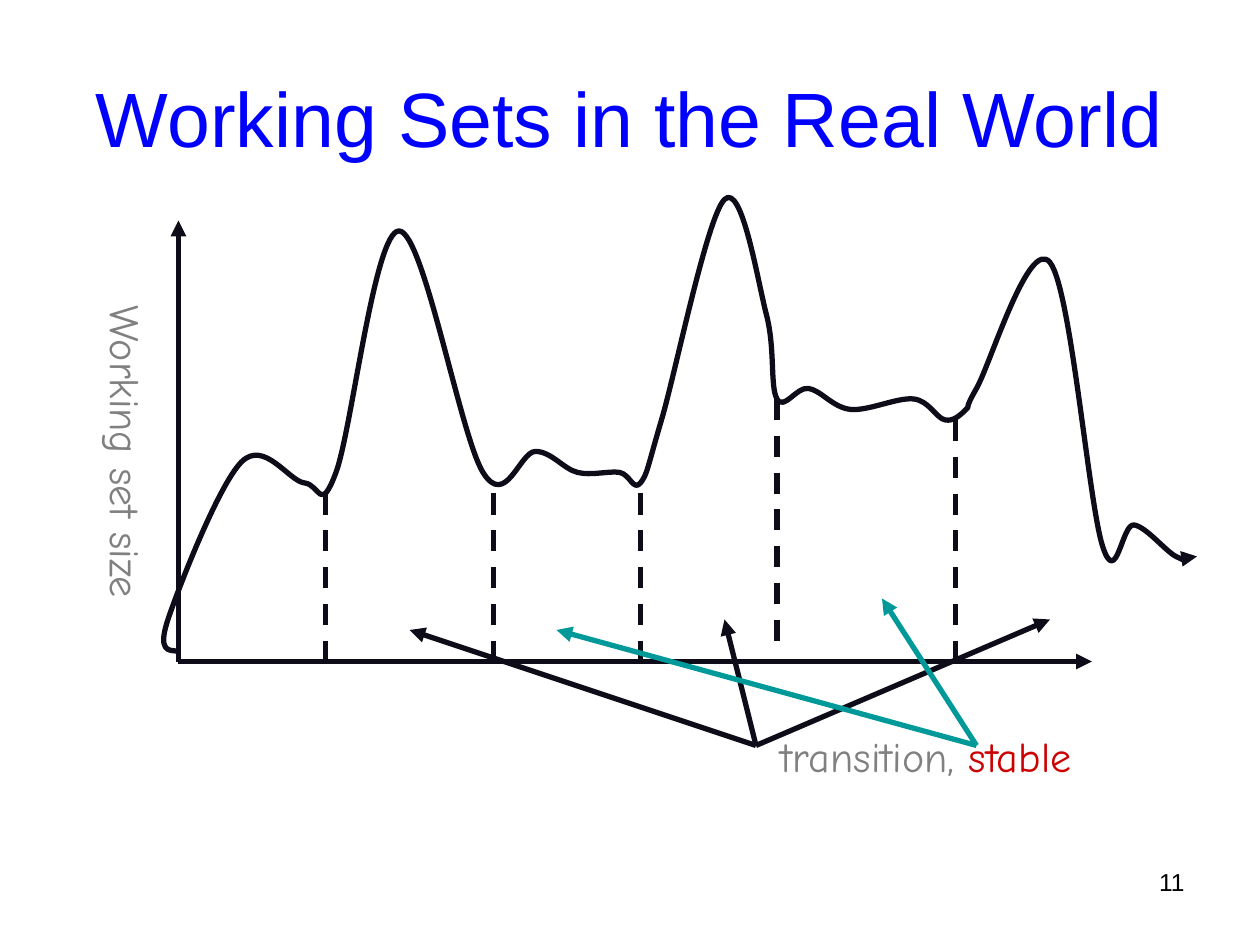
from dataclasses import dataclass

from lxml.etree import SubElement
from pptx import Presentation
from pptx.dml.color import RGBColor as Color
from pptx.enum.dml import MSO_LINE_DASH_STYLE as Dash
from pptx.enum.shapes import MSO_CONNECTOR as Connector
from pptx.enum.text import MSO_ANCHOR as Anchor, PP_ALIGN as Align
from pptx.oxml.ns import qn
from pptx.util import Pt

PX = 7620
PAGE_SIZE = (1200, 900)


@dataclass(frozen=True)
class Theme:
    ink: str = "0F0C19"
    teal: str = "009999"
    blue: str = "0000FF"
    gray: str = "808080"
    red: str = "CC0000"
    black: str = "000000"
    sans: str = "Arial"
    hand: str = "Comic Neue"
    title_size: int = 44
    label_size: int = 24
    number_size: int = 14
    stroke: int = 3


THEME = Theme()

TITLE = [("Working Sets in the Real World", THEME.blue)]
AXIS_LABEL = [("Working set size", THEME.gray)]
LEGEND = [("transition, ", THEME.gray), ("stable", THEME.red)]
PAGE_NUMBER = [("11", THEME.black)]

ORIGIN = (170, 630)
AXIS_ENDS = [(170, 210), (1040, 630)]
CURVE = [
    (170, 620), (160, 590), (230, 440), (290, 460), (320, 450), (380, 220),
    (460, 450), (510, 430), (550, 450), (590, 450), (610, 460), (630, 400),
    (690, 190), (730, 300), (740, 380), (770, 370), (810, 390), (870, 380),
    (900, 400), (920, 390), (930, 370), (1000, 250), (1050, 520), (1080, 500),
    (1120, 530), (1140, 530),
]
PHASE_BREAKS = [(310, 470, 630), (470, 470, 630), (610, 470, 630),
                (740, 380, 620), (910, 400, 630)]
POINTERS = [
    ((720, 710), THEME.ink, [(390, 600), (690, 590), (1000, 590)]),
    ((930, 710), THEME.teal, [(530, 600), (840, 570)]),
]


def add_text(page, area, parts, font, size, align, anchor=Anchor.MIDDLE, wrap=True):
    box = page.shapes.add_textbox(*(value * PX for value in area))
    frame = box.text_frame
    frame.word_wrap = wrap
    frame.vertical_anchor = anchor
    para = frame.paragraphs[0]
    para.alignment = align
    for words, color in parts:
        span = para.add_run()
        span.text = words
        span.font.name = font
        span.font.size = Pt(size)
        span.font.color.rgb = Color.from_string(color)
    return box


def style_line(shape, color, dashed=False, arrow=False):
    line = shape.line
    line.color.rgb = Color.from_string(color)
    line.width = Pt(THEME.stroke)
    if dashed:
        line.dash_style = Dash.DASH
    if arrow:
        SubElement(line._get_or_add_ln(), qn("a:tailEnd"), type="triangle")


def add_line(page, start, end, color, dashed=False, arrow=False):
    ends = (value * PX for value in (*start, *end))
    line = page.shapes.add_connector(Connector.STRAIGHT, *ends)
    style_line(line, color, dashed, arrow)
    SubElement(line._element.spPr, qn("a:effectLst"))


def midpoint(first, second):
    return tuple((a + b) / 2 for a, b in zip(first, second))


def spline_controls(knots):
    handles = []
    for before, knot, after in zip(knots, knots[1:], knots[2:]):
        reach = [(b - a) / 6 for a, b in zip(before, after)]
        handles.append((tuple(k - r for k, r in zip(knot, reach)),
                        tuple(k + r for k, r in zip(knot, reach))))
    leaving = [midpoint(knots[0], handles[0][0])] + [out for _, out in handles]
    arriving = [into for into, _ in handles] + [midpoint(handles[-1][1], knots[-1])]
    return [point for segment in zip(leaving, arriving, knots[1:]) for point in segment]


def add_curve(page, knots):
    points = [(round(x * PX), round(y * PX)) for x, y in spline_controls(knots)]
    start_x, start_y = knots[0]
    builder = page.shapes.build_freeform(start_x * PX, start_y * PX)
    builder.add_line_segments(points, close=False)
    curve = builder.convert_to_shape()
    outline = next(curve._element.iter(qn("a:path")))
    steps = outline.findall(qn("a:lnTo"))
    for group in zip(steps[::3], steps[1::3], steps[2::3]):
        bezier = SubElement(outline, qn("a:cubicBezTo"))
        for step in group:
            bezier.append(step[0])
            outline.remove(step)
    curve.fill.background()
    curve.shadow.inherit = False
    style_line(curve, THEME.ink, arrow=True)


def main():
    deck = Presentation()
    deck.slide_width, deck.slide_height = (side * PX for side in PAGE_SIZE)
    page = deck.slides.add_slide(deck.slide_layouts[6])

    add_text(page, (60, 36, 1080, 150), TITLE, THEME.sans, THEME.title_size, Align.CENTER)
    for end in AXIS_ENDS:
        add_line(page, ORIGIN, end, THEME.ink, arrow=True)
    axis_label = add_text(page, (-32, 400, 305, 60), AXIS_LABEL, THEME.hand,
                          THEME.label_size, Align.CENTER, wrap=False)
    axis_label.rotation = 90
    add_curve(page, CURVE)
    add_text(page, (731, 690, 302, 60), LEGEND, THEME.hand,
             THEME.label_size, Align.CENTER, wrap=False)
    for x, top, bottom in PHASE_BREAKS:
        add_line(page, (x, top), (x, bottom), THEME.ink, dashed=True)
    for start, color, targets in POINTERS:
        for target in targets:
            add_line(page, start, target, color, arrow=True)
    add_text(page, (860, 820, 280, 62), PAGE_NUMBER, THEME.sans,
             THEME.number_size, Align.RIGHT, anchor=Anchor.TOP)

    deck.save("out.pptx")


if __name__ == "__main__":
    main()
